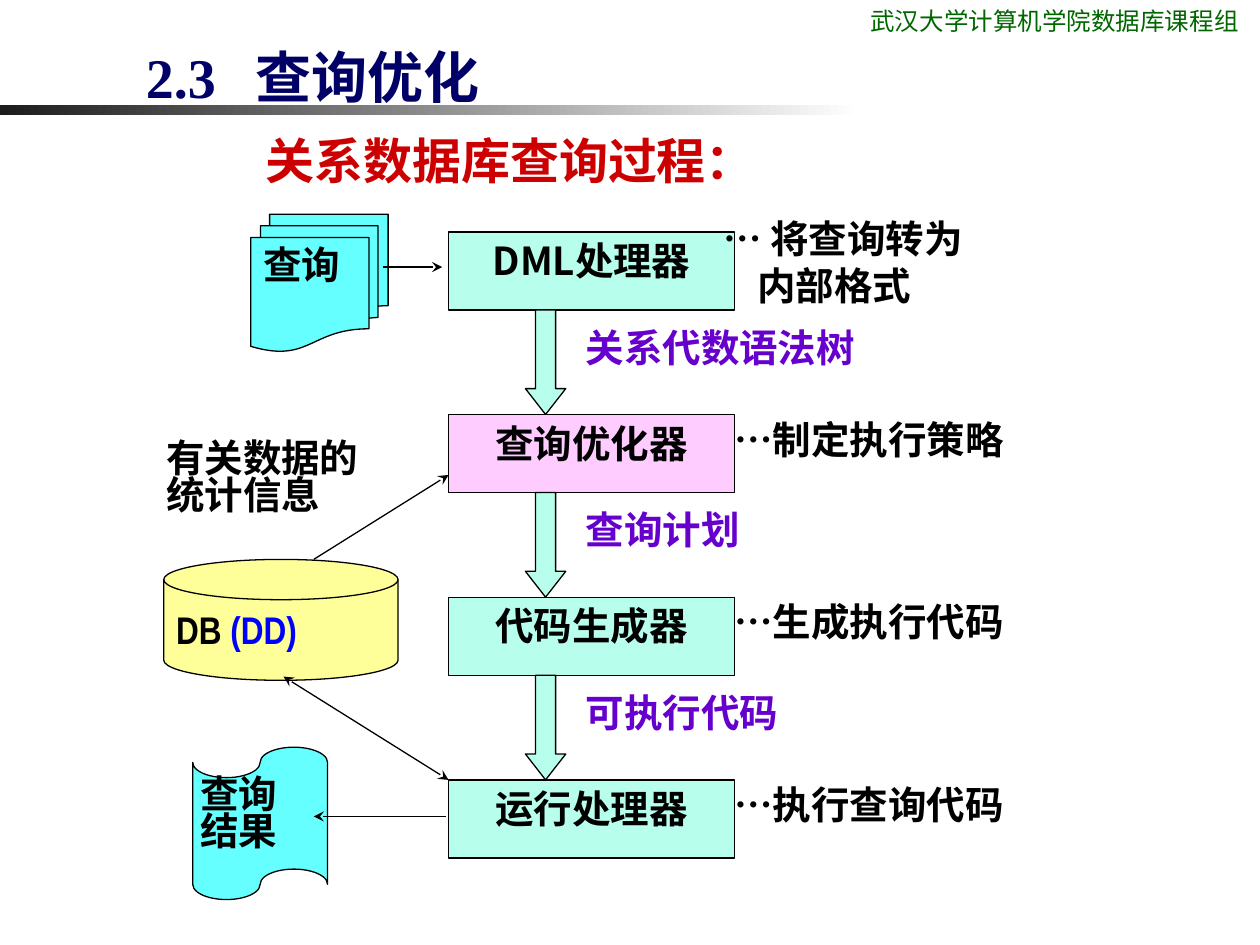
from lxml.etree import SubElement
from pptx import Presentation
from pptx.dml.color import RGBColor
from pptx.enum.shapes import MSO_CONNECTOR, MSO_SHAPE
from pptx.enum.text import MSO_ANCHOR, PP_ALIGN
from pptx.oxml.ns import qn
from pptx.util import Inches, Pt

CJK = "Noto Sans CJK SC"
MINT, PINK, CYAN, YELLOW = "B7FFEC", "FFCCFF", "66FFFF", "FFFF99"
BLACK, PURPLE = "000000", "6600CC"
STAGE_LEFT, STAGE_TOP = 3.56, 1.84
STAGE_WIDTH, STAGE_HEIGHT, ROW_PITCH = 2.27, 0.62, 1.45
LABEL_COLUMN, NOTE_COLUMN = 4.63, 5.81
TIGHT = (0.02, 0.01, 0.02, 0.01)
ROOMY = (0.1, 0.05, 0.1, 0.05)
STAGES = [
    ("DML处理器", MINT, "关系代数语法树"),
    ("查询优化器", PINK, "查询计划"),
    ("代码生成器", MINT, "可执行代码"),
    ("运行处理器", MINT, None),
]
NOTES = ["…制定执行策略", "…生成执行代码", "…执行查询代码"]


def color(hex_value):
    """Turn a hex string into a colour."""
    return RGBColor.from_string(hex_value)


def apply(target, values):
    """Set attributes on a target from a dict of format values."""
    for key, value in values.items():
        setattr(target, key, value)


def row_top(row):
    """Return the top of a stage row in inches."""
    return STAGE_TOP + row * ROW_PITCH


def write(holder, lines, insets=TIGHT, anchor=MSO_ANCHOR.TOP, align=PP_ALIGN.JUSTIFY,
          spacing=None, size=22, face=CJK, ink=BLACK, bold=True):
    """Fill a holder with lines, each a string or a list of text and colour pairs."""
    frame = holder.text_frame
    margins = ("margin_left", "margin_top", "margin_right", "margin_bottom")
    apply(frame, dict(zip(margins, map(Inches, insets))))
    apply(frame, {"word_wrap": True, "vertical_anchor": anchor})
    for index, line in enumerate(lines):
        paragraph = frame.add_paragraph() if index else frame.paragraphs[0]
        apply(paragraph, {"alignment": align, "line_spacing": spacing})
        for words, run_ink in [(line, ink)] if isinstance(line, str) else line:
            run = paragraph.add_run()
            run.text = words
            run.font.color.rgb = color(run_ink)
            apply(run.font, {"size": Pt(size), "bold": bold, "name": face})
            SubElement(run.font._element, qn("a:ea"), typeface=CJK)
    return frame


def add_label(slide, box, lines, **style):
    """Add a text box holding the given lines."""
    label = slide.shapes.add_textbox(*map(Inches, box))
    return write(label, lines, **style)


def add_node(slide, kind, box, fill, lines=(), **style):
    """Add an outlined preset shape with optional text."""
    node = slide.shapes.add_shape(kind, *map(Inches, box))
    node.shadow.inherit = False
    node.fill.solid()
    node.fill.fore_color.rgb = color(fill)
    node.line.color.rgb = color(BLACK)
    node.line.width = Pt(0.75)
    write(node, lines, **style)
    return node


def add_flow(slide, start, end, ends=("tailEnd",)):
    """Add a thin line with stealth arrowheads at the named ends."""
    flow = slide.shapes.add_connector(MSO_CONNECTOR.STRAIGHT, *map(Inches, start + end))
    flow.line.color.rgb = color(BLACK)
    flow.line.width = Pt(0.75)
    properties = flow._element.spPr
    for end_name in ends:
        SubElement(properties.find(qn("a:ln")), qn("a:" + end_name), type="stealth")
    SubElement(properties, qn("a:effectLst"))


def add_heading(slide):
    """Add the fading rule, the course credit, the title and the subtitle."""
    rule = slide.shapes.add_shape(MSO_SHAPE.RECTANGLE, *map(Inches, (0, 0.83, 6.83, 0.08)))
    rule.shadow.inherit = False
    rule.line.fill.background()
    rule.fill.gradient()
    rule.fill.gradient_angle = 0
    for stop, shade in zip(rule.fill.gradient_stops, ("1C1C1C", "FFFFFF")):
        stop.color.rgb = color(shade)
    plain = {"insets": ROOMY, "align": PP_ALIGN.LEFT}
    add_label(slide, (6.81, 0, 3.19, 0.34), ["武汉大学计算机学院数据库课程组"],
              size=14, face="Roboto Condensed", ink="006600", bold=False, **plain)
    title = add_label(slide, (1.06, 0, 6.5, 0.92), ["2.3\t查询优化"], size=32,
                      face="Times New Roman", ink="000066", anchor=MSO_ANCHOR.BOTTOM, **plain)
    tabs = SubElement(title.paragraphs[0]._p.get_or_add_pPr(), qn("a:tabLst"))
    SubElement(tabs, qn("a:tab"), pos=str(Inches(0.87)), algn="l")
    add_label(slide, (2.01, 0.99, 4.8, 0.57), ["关系数据库查询过程："],
              size=28, ink="CC0000", **plain)


def add_stages(slide):
    """Add the column of processing stages with arrows and their products."""
    gap = ROW_PITCH - STAGE_HEIGHT
    for row, (stage, fill, product) in enumerate(STAGES):
        top = row_top(row)
        add_node(slide, MSO_SHAPE.RECTANGLE, (STAGE_LEFT, top, STAGE_WIDTH, STAGE_HEIGHT),
                 fill, [stage], insets=(0.02, 0.04, 0.02, 0.01), align=PP_ALIGN.CENTER)
        if product:
            bottom = top + STAGE_HEIGHT
            arrow = add_node(slide, MSO_SHAPE.DOWN_ARROW, (4.17, bottom, 0.32, gap), MINT)
            arrow.adjustments[1] = 0.64
            add_label(slide, (LABEL_COLUMN, bottom + 0.1, STAGE_WIDTH, 0.41),
                      [product], ink=PURPLE)


def add_notes(slide):
    """Add the explanation beside each stage."""
    first = add_label(slide, (5.72, 1.7, 2.94, 0.75), ["… 将查询转为", "内部格式"])
    first.paragraphs[1]._p.get_or_add_pPr().set("marL", str(Inches(0.27)))
    for row, note in enumerate(NOTES, start=1):
        add_label(slide, (NOTE_COLUMN, row_top(row), 3.21, 0.48), [note])


def add_data_sources(slide):
    """Add the query, database and result with their flows."""
    add_node(slide, MSO_SHAPE.FLOWCHART_MAGNETIC_DISK, (1.3, 4.44, 1.86, 0.96), YELLOW,
             [[("DB ", BLACK), ("(DD)", "0000FF")]], insets=ROOMY, face="Arial Narrow")
    add_flow(slide, (2.49, 4.44), (STAGE_LEFT, 3.77))
    add_flow(slide, (2.25, 5.37), (STAGE_LEFT, row_top(3)), ("headEnd", "tailEnd"))
    add_node(slide, MSO_SHAPE.FLOWCHART_MULTIDOCUMENT, (1.99, 1.7, 1.09, 1.09), CYAN,
             ["查询"], insets=ROOMY, spacing=0.96)
    add_flow(slide, (3.04, 2.12), (3.51, 2.12))
    add_node(slide, MSO_SHAPE.FLOWCHART_PUNCHED_TAPE, (1.53, 5.93, 1.07, 1.21), CYAN,
             ["查询", "结果"], insets=(0.06, 0.01, 0.02, 0.01), spacing=0.8)
    add_flow(slide, (3.54, 6.48), (2.49, 6.48))
    add_label(slide, (1.3, 3.51, 2.14, 0.74), ["有关数据的", "统计信息"], spacing=0.8)


def main():
    """Build the query process slide and save it."""
    deck = Presentation()
    apply(deck, {"slide_width": Inches(10), "slide_height": Inches(7.5)})
    slide = deck.slides.add_slide(deck.slide_layouts[6])
    for add_part in (add_heading, add_stages, add_notes, add_data_sources):
        add_part(slide)
    deck.save("out.pptx")


if __name__ == "__main__":
    main()
